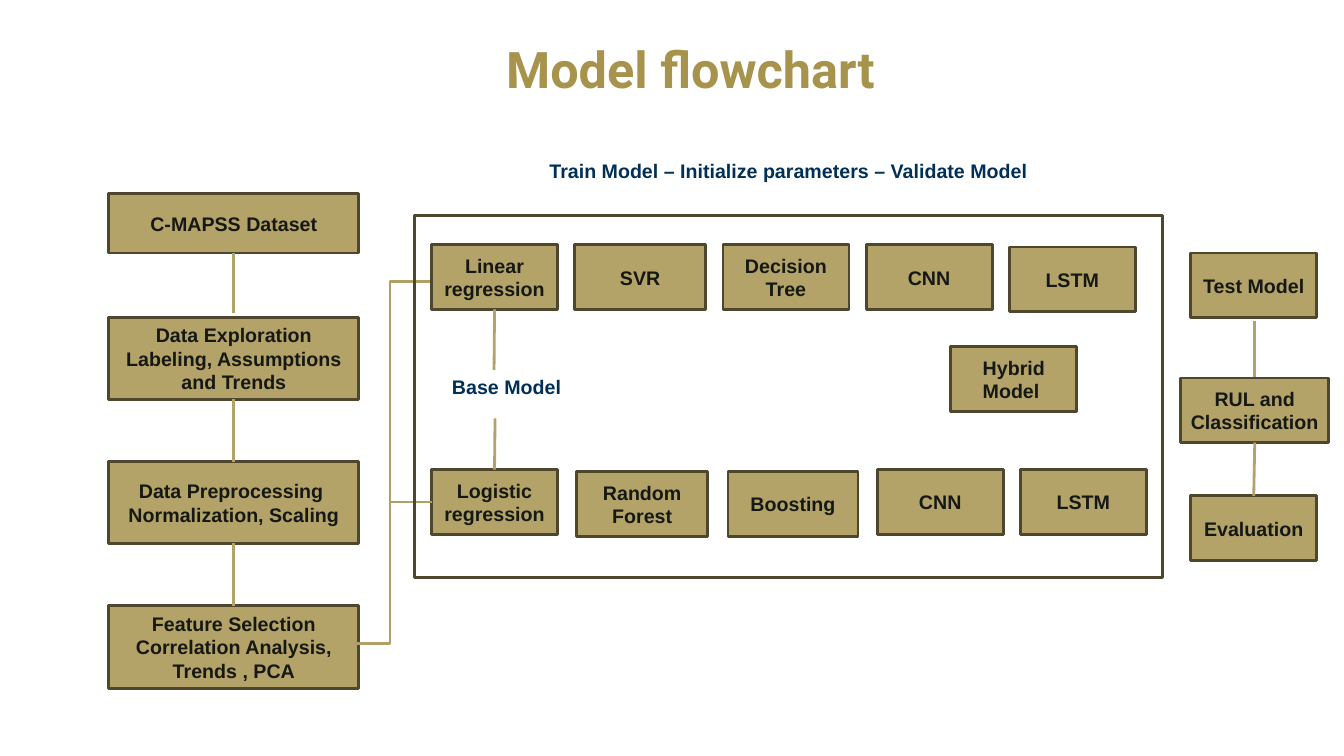
from lxml import etree
from pptx import Presentation
from pptx.dml.color import RGBColor
from pptx.enum import shapes, text
from pptx.oxml import ns
from pptx.util import Inches, Pt

GOLD, ELBOW_GOLD, TITLE_GOLD = "B3A369", "B1A065", "A7934B"
EDGE, INK, NAVY = "4E472E", "151813", "003057"
TOP, LEFT, BOTTOM = 0, 1, 2
LABEL = {"size": Pt(14), "name": "Arial", "bold": True}
HEADING = {"size": Pt(36), "name": "Roboto", "bold": True}


def colour(value):
    return RGBColor.from_string(value)


def write(frame, lines, font_format, ink, align=text.PP_ALIGN.CENTER):
    frame.word_wrap = True
    for index, line in enumerate(lines):
        para = frame.paragraphs[0] if index == 0 else frame.add_paragraph()
        para.alignment = align
        span = para.add_run()
        span.text = line
        for name, value in font_format.items():
            setattr(span.font, name, value)
        span.font.color.rgb = colour(ink)


def add_title(page, words):
    title = page.shapes.title
    place = {"left": 0.78, "top": 0.33, "width": 12.14, "height": 0.77}
    for name, value in place.items():
        setattr(title, name, Inches(value))
    title.text_frame.vertical_anchor = text.MSO_ANCHOR.MIDDLE
    write(title.text_frame, [words], HEADING, TITLE_GOLD)
    title.text_frame.paragraphs[0].line_spacing = 0.9


def add_box(page, lines, left, top, width=1.25, height=0.64, fill=GOLD):
    box = page.shapes.add_shape(shapes.MSO_SHAPE.RECTANGLE, Inches(left),
                                Inches(top), Inches(width), Inches(height))
    box.shadow.inherit = False
    if fill:
        box.fill.solid()
        box.fill.fore_color.rgb = colour(fill)
    else:
        box.fill.background()
    box.line.color.rgb = colour(EDGE)
    box.line.width = Pt(2)
    box.text_frame.vertical_anchor = text.MSO_ANCHOR.MIDDLE
    write(box.text_frame, lines, LABEL, INK)
    return box


def add_caption(page, words, left, top, width, align):
    box = page.shapes.add_textbox(Inches(left), Inches(top), Inches(width),
                                  Inches(0.34))
    write(box.text_frame, [words], LABEL, NAVY, align)
    box.text_frame.auto_size = text.MSO_AUTO_SIZE.SHAPE_TO_FIT_TEXT


def add_line(page, start, end, line_colour=GOLD,
             kind=shapes.MSO_CONNECTOR.STRAIGHT):
    """Each end is an (x, y) point in inches."""
    line = page.shapes.add_connector(kind, *map(Inches, start + end))
    line.line.color.rgb = colour(line_colour)
    line.line.width = Pt(2)
    etree.SubElement(line._element.spPr, ns.qn("a:effectLst"))
    return line


def add_elbow(page, start, end, bend):
    elbow = add_line(page, start, end, ELBOW_GOLD, shapes.MSO_CONNECTOR.ELBOW)
    geometry = elbow._element.spPr.find(ns.qn("a:prstGeom"))
    guides = geometry.find(ns.qn("a:avLst"))
    if guides is None:
        guides = etree.SubElement(geometry, ns.qn("a:avLst"))
    etree.SubElement(guides, ns.qn("a:gd"), name="adj1",
                     fmla=f"val {round(bend * 100000)}")


def main():
    deck = Presentation()
    deck.slide_width, deck.slide_height = Inches(13.33), Inches(7.5)
    page = deck.slides.add_slide(deck.slide_layouts[5])
    add_title(page, "Model flowchart")

    # Data preparation column
    dataset, exploration, preprocessing, features = [
        add_box(page, lines, 1.08, top, 2.48, height)
        for lines, top, height in (
            (["C-MAPSS Dataset"], 1.92, 0.59),
            (["Data Exploration", "Labeling, Assumptions and Trends"], 3.15, 0.81),
            (["Data Preprocessing ", "Normalization, Scaling"], 4.58, 0.81),
            (["Feature Selection", "Correlation Analysis, Trends , PCA"], 6.01, 0.82))]
    add_line(page, (2.32, 2.51), (2.32, 3.11)).begin_connect(dataset, BOTTOM)
    for upper, lower, start, end in ((exploration, preprocessing, 3.96, 4.58),
                                     (preprocessing, features, 5.39, 6.01)):
        line = add_line(page, (2.32, start), (2.32, end))
        line.begin_connect(upper, BOTTOM)
        line.end_connect(lower, TOP)

    # Branch from the features to both model rows
    add_elbow(page, (3.51, 6.38), (4.81, 2.79), 0.276)
    linear = add_box(page, ["Linear regression"], 4.28, 2.43)
    logistic = add_box(page, ["Logistic regression"], 4.28, 4.66)
    branch = add_line(page, (3.86, 4.98), (4.28, 4.98), ELBOW_GOLD)
    branch.end_connect(logistic, LEFT)

    # Candidate models
    for name, left, top, width in (
            ("SVR", 5.7, 2.43, 1.3), ("Decision Tree", 7.17, 2.43, 1.25),
            ("CNN", 8.59, 2.43, 1.25), ("LSTM", 10.01, 2.45, 1.25),
            ("Random Forest", 5.72, 4.68, 1.3), ("Boosting", 7.22, 4.68, 1.29),
            ("CNN", 8.7, 4.66, 1.25), ("LSTM", 10.12, 4.66, 1.25),
            ("Hybrid Model ", 9.43, 3.44, 1.25)):
        add_box(page, [name], left, top, width)

    # Base model link and training frame
    add_line(page, (4.9, 3.07), (4.9, 3.67)).begin_connect(linear, BOTTOM)
    add_line(page, (4.91, 4.15), (4.9, 4.66)).end_connect(logistic, TOP)
    add_caption(page, "Base Model", 4.11, 3.67, 1.83, text.PP_ALIGN.CENTER)
    add_box(page, [], 4.11, 2.14, 7.42, 3.59, fill=None)
    add_caption(page, "Train Model – Initialize parameters – Validate Model",
                5.35, 1.53, 5.28, text.PP_ALIGN.LEFT)

    # Testing column
    add_box(page, ["Test Model"], 11.81, 2.51)
    add_line(page, (12.44, 3.18), (12.44, 3.78))
    outputs = add_box(page, ["RUL and Classification "], 11.71, 3.75, 1.47)
    evaluation = add_box(page, ["Evaluation"], 11.81, 4.92)
    result = add_line(page, (12.45, 4.39), (12.44, 4.92))
    result.begin_connect(outputs, BOTTOM)
    result.end_connect(evaluation, TOP)

    deck.save("out.pptx")


if __name__ == "__main__":
    main()
